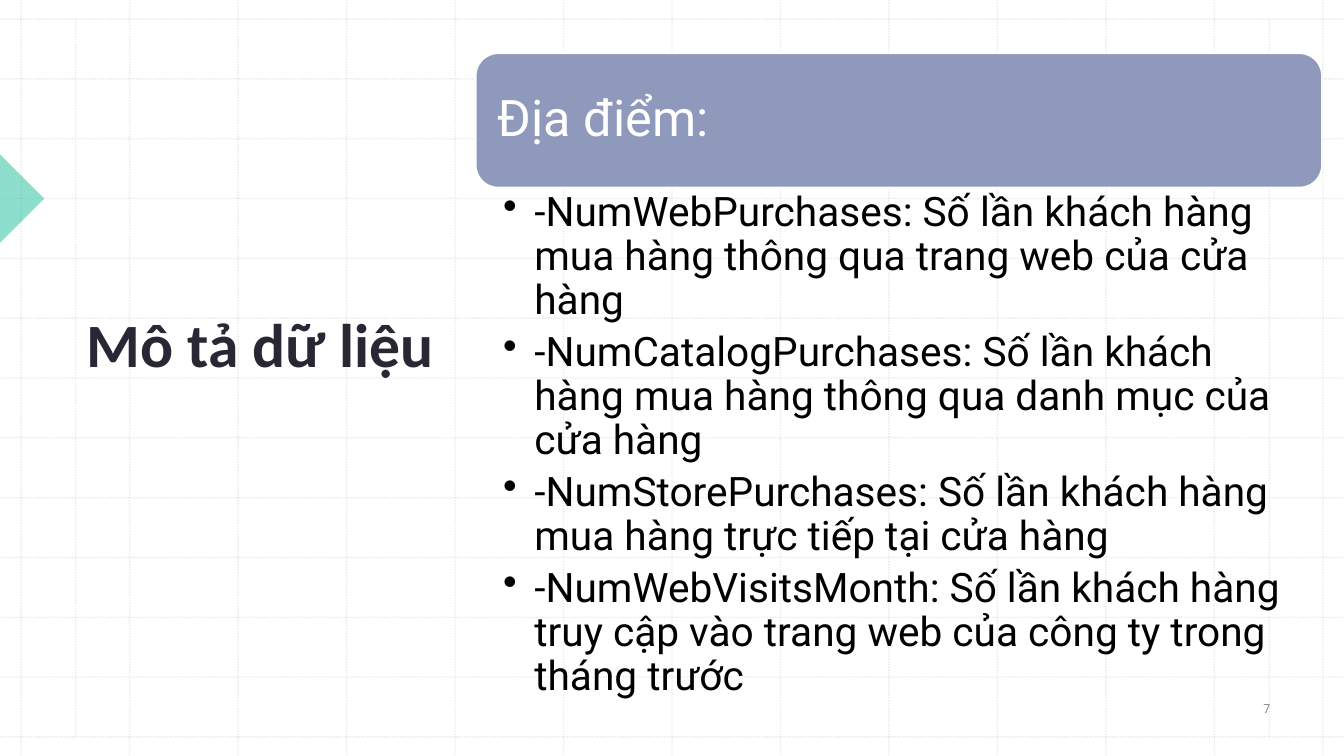
"""Build the data description slide about purchase places."""
from lxml.etree import SubElement
from pptx import Presentation
from pptx.dml.color import RGBColor
from pptx.enum.dml import MSO_LINE
from pptx.enum.shapes import MSO_CONNECTOR, MSO_SHAPE
from pptx.enum.text import MSO_ANCHOR, PP_ALIGN
from pptx.oxml.ns import qn
from pptx.util import Inches, Pt


def paint(color_owner, hex_color, alpha=None):
    color_owner.solid()
    color_owner.fore_color.rgb = RGBColor.from_string(hex_color)
    if alpha is not None:
        srgb = color_owner._xPr.find(".//" + qn("a:srgbClr"))
        SubElement(srgb, qn("a:alpha"), val=str(alpha * 1000))


def write(box, texts, size, font_name, hex_color, anchor=MSO_ANCHOR.MIDDLE, insets=(0.1, 0.05, 0.1, 0.05)):
    frame = box.text_frame
    frame.word_wrap = True
    frame.vertical_anchor = anchor
    frame.margin_left, frame.margin_top, frame.margin_right, frame.margin_bottom = map(Inches, insets)
    for index, text in enumerate(texts):
        paragraph = frame.add_paragraph() if index else frame.paragraphs[0]
        run = paragraph.add_run()
        run.text = text
        run.font.size = Pt(size)
        run.font.name = font_name
        paint(run.font.fill, hex_color)
    return frame.paragraphs


deck = Presentation()
deck.slide_width, deck.slide_height = Inches(13.33), Inches(7.5)
slide = deck.slides.add_slide(deck.slide_layouts[6])
shapes = slide.shapes
paint(slide.background.fill, "FFFFFF")

WIDTH, HEIGHT = 13.33, 7.5
GRID_LEFT, GRID_TOP, STEPS = 0.21, 0.19, 12
COLUMN = (13.12 - GRID_LEFT) / STEPS
ROW = (HEIGHT - 2 * GRID_TOP) / STEPS

grid_lines = []
for step in range(STEPS + 1):
    x, y = GRID_LEFT + step * COLUMN, GRID_TOP + step * ROW
    grid_lines += [(x, 0, x, HEIGHT), (0, y, WIDTH, y)]
for margin in (0.75, 12.59):
    grid_lines.append((margin, GRID_TOP, margin, HEIGHT - GRID_TOP))
for ends in grid_lines:
    grid_line = shapes.add_connector(MSO_CONNECTOR.STRAIGHT, *map(Inches, ends))
    grid_line.line.width = Pt(1)
    paint(grid_line.line.fill, "BCBCBC", alpha=30)
    grid_line.line.dash_style = MSO_LINE.ROUND_DOT
    SubElement(grid_line._element.spPr, qn("a:effectLst"))

marker = shapes.add_shape(MSO_SHAPE.RIGHT_TRIANGLE, *map(Inches, (-0.31, 1.66, 0.62, 0.62)))
marker.rotation = 225
marker.shadow.inherit = False
marker.line.fill.background()
paint(marker.fill, "1EBE9B", alpha=50)

title = shapes.add_textbox(*map(Inches, (0.76, 0.79, 3.75, 5.95)))
title_line = write(title, ["Mô tả dữ liệu"], 44, "Calibri", "2A2735")[0]
title_line.runs[0].font.bold = True
title_line.add_line_break()
title_line.font.size = Pt(44)

PANEL_LEFT, PANEL_WIDTH = 4.72, 8.39
HEADER_TOP, HEADER_HEIGHT = 0.53, 1.33

header = shapes.add_shape(
    MSO_SHAPE.ROUNDED_RECTANGLE, *map(Inches, (PANEL_LEFT, HEADER_TOP, PANEL_WIDTH, HEADER_HEIGHT)))
header.shadow.inherit = False
header.line.width = Pt(1)
paint(header.line.fill, "FFFFFF")
paint(header.fill, "8F99BB")
heading = write(header, ["Địa điểm:"], 36, "Roboto", "FFFFFF", insets=(0.15,) * 4)[0]
heading.alignment = PP_ALIGN.LEFT
heading.line_spacing = 0.9

fields = [
    "-NumWebPurchases: Số lần khách hàng mua hàng thông qua trang web của cửa hàng",
    "-NumCatalogPurchases: Số lần khách hàng mua hàng thông qua danh mục của cửa hàng",
    "-NumStorePurchases: Số lần khách hàng mua hàng trực tiếp tại cửa hàng",
    "-NumWebVisitsMonth: Số lần khách hàng truy cập vào trang web của công ty trong tháng trước",
]
field_list = shapes.add_textbox(
    *map(Inches, (PANEL_LEFT, HEADER_TOP + HEADER_HEIGHT, PANEL_WIDTH, 5.3)))
for bullet in write(field_list, fields, 29, "Roboto", "000000", MSO_ANCHOR.TOP, (0.27, 0.04, 0.23, 0.04)):
    bullet.level = 1
    bullet.line_spacing = 0.9
    bullet.space_after = Pt(6)
    properties = bullet._p.get_or_add_pPr()
    properties.set("marL", str(Inches(0.31)))
    properties.set("indent", str(Inches(-0.31)))
    SubElement(properties, qn("a:buChar"), char="•")

page_number = shapes.add_textbox(*map(Inches, (12.03, 6.8, 1.07, 0.46)))
write(page_number, ["7"], 9, "Roboto", "8C8C8C")[0].alignment = PP_ALIGN.CENTER

deck.save("out.pptx")
